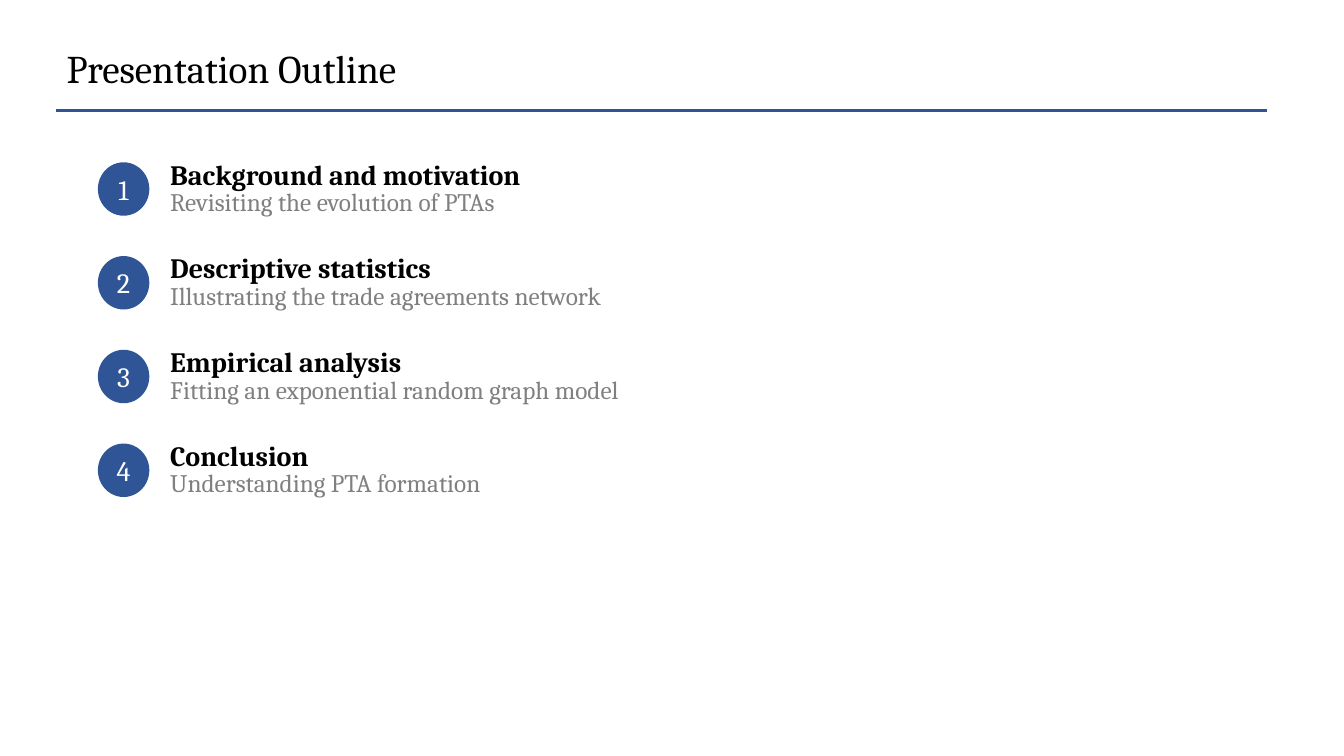
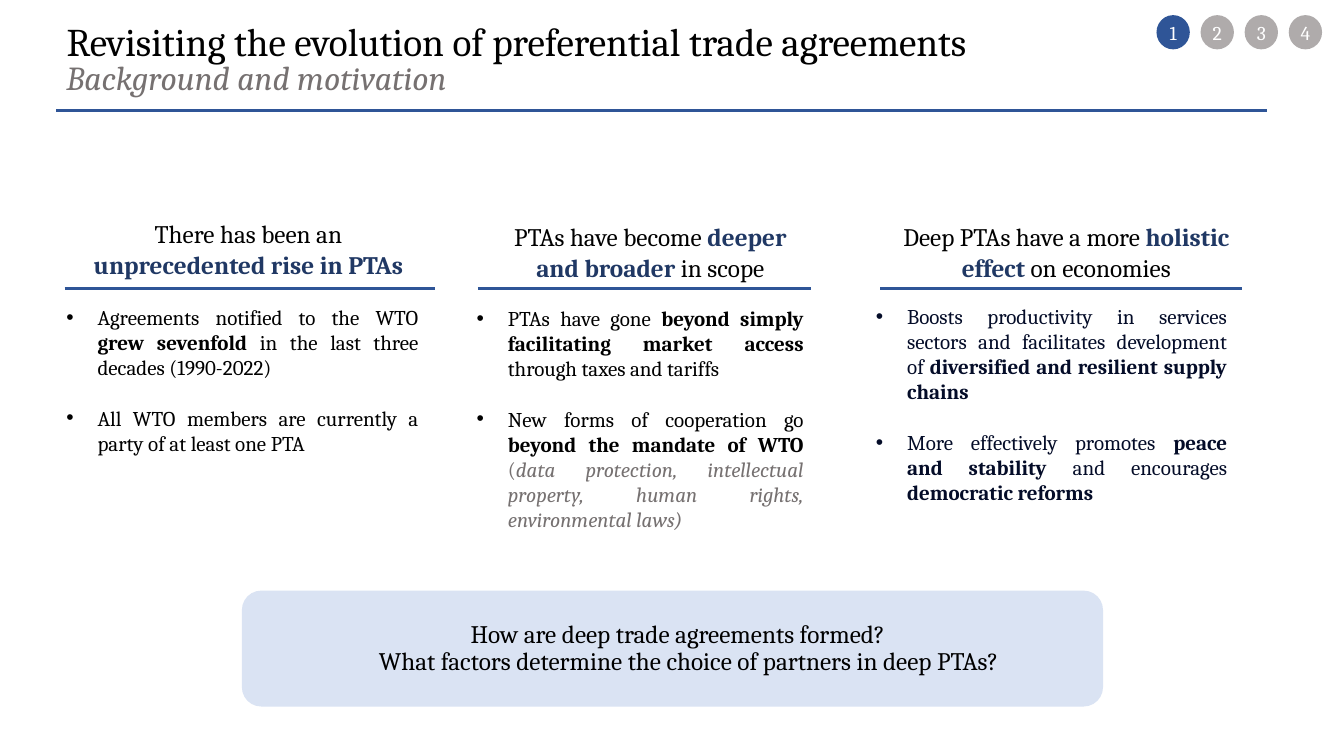
from pptx import Presentation
from pptx.dml.color import RGBColor
from pptx.enum.shapes import MSO_CONNECTOR, MSO_SHAPE
from pptx.enum.text import MSO_ANCHOR, MSO_AUTO_SIZE, PP_ALIGN
from pptx.oxml.xmlchemy import OxmlElement
from pptx.util import Inches, Pt

LEFT, CENTER, JUSTIFY = PP_ALIGN.LEFT, PP_ALIGN.CENTER, PP_ALIGN.JUSTIFY
TOP, MIDDLE = MSO_ANCHOR.TOP, MSO_ANCHOR.MIDDLE
STRAIGHT = MSO_CONNECTOR.STRAIGHT
OVAL, ROUNDED = MSO_SHAPE.OVAL, MSO_SHAPE.ROUNDED_RECTANGLE
NO_FIT = MSO_AUTO_SIZE.NONE

FONT = "Cambria"
BLUE, NAVY, INK = "2F5597", "203864", "040C28"
BLACK, WHITE = "000000", "FFFFFF"
GRAY, DARK_GRAY, BADGE_GRAY = "808080", "767171", "AFABAB"
PALE_BLUE = "DAE3F3"
TITLE_LEFT, TITLE_WIDTH, TITLE_HEIGHT = 4.2, 88, 5.33

color = RGBColor.from_string
presentation = Presentation()
presentation.slide_width = Inches(13.33)
presentation.slide_height = Inches(7.5)
column = presentation.slide_width / 100
row = presentation.slide_height / 100


def area(left, top, width, height):
    return (round(left * column), round(top * row),
            round(width * column), round(height * row))


def write(shape, paragraphs, size, alignment=LEFT, anchor=TOP, line_spacing=None):
    frame = shape.text_frame
    frame.word_wrap = True
    frame.auto_size = NO_FIT
    frame.vertical_anchor = anchor
    for index, runs in enumerate(paragraphs):
        paragraph = frame.add_paragraph() if index else frame.paragraphs[0]
        paragraph.alignment = alignment
        paragraph.line_spacing = line_spacing
        for text, hex_color, style in runs:
            run = paragraph.add_run()
            run.text = text
            run.font.name = FONT
            run.font.size = Pt(size)
            run.font.bold = style == "bold"
            run.font.italic = style == "italic"
            run.font.color.rgb = color(hex_color)


slides = []
rules = []
for title, title_top in [
    ("Presentation Outline", 5.87),
    ("Revisiting the evolution of preferential trade agreements", 2.27),
]:
    slide = presentation.slides.add_slide(presentation.slide_layouts[5])
    placeholder = slide.shapes.title
    placeholder.left, placeholder.top, placeholder.width, placeholder.height = area(
        TITLE_LEFT, title_top, TITLE_WIDTH, TITLE_HEIGHT)
    write(placeholder, [[(title, BLACK, "")]], 28, line_spacing=0.9)
    slides.append(slide)
    rules.append((slide, 4.2, 94.3, 14.67))
outline, background = slides

badges = []
sections = [
    ("Background and motivation", "Revisiting the evolution of PTAs"),
    ("Descriptive statistics", "Illustrating the trade agreements network"),
    ("Empirical analysis", "Fitting an exponential random graph model"),
    ("Conclusion", "Understanding PTA formation"),
]
for index, (heading, detail) in enumerate(sections):
    section_top = 21.47 + 12.4 * index
    number = str(index + 1)
    badges.append((outline, area(7.28, section_top, 3.83, 7.07), number, 20, BLUE))
    badges.append((background, area(86.05 + 3.28 * index, 2, 2.48, 4.53), number, 14,
                   BADGE_GRAY if index else BLUE))
    for text, offset, size, hex_color, style in [
        (heading, -1.33, 20, BLACK, "bold"),
        (detail, 2.53, 18, GRAY, ""),
    ]:
        box = outline.shapes.add_textbox(*area(11.93, section_top + offset, 45, 5.6))
        write(box, [[(text, hex_color, style)]], size)

for slide, position, number, size, hex_color in badges:
    badge = slide.shapes.add_shape(OVAL, *position)
    badge.shadow.inherit = False
    badge.fill.solid()
    badge.fill.fore_color.rgb = color(hex_color)
    badge.line.fill.background()
    frame = badge.text_frame
    frame.margin_left = frame.margin_right = frame.margin_top = frame.margin_bottom = 0
    write(badge, [[(number, WHITE, "")]], size, CENTER, MIDDLE)

subtitle = background.shapes.add_textbox(
    *area(TITLE_LEFT, 7.47, TITLE_WIDTH, TITLE_HEIGHT))
write(subtitle, [[("Background and motivation", DARK_GRAY, "italic")]], 24,
      line_spacing=0.9)

arguments = [
    {
        "heading_area": (4.65, 28.27, 27.68, 9.47),
        "heading": [("There has been an ", BLACK, ""),
                    ("unprecedented rise in PTAs", NAVY, "bold")],
        "rule": (4.8, 32.33),
        "bullets_area": (4.2, 39.6, 27.68, 21.6),
        "bullets": [
            [("Agreements notified to the WTO ", BLACK, ""),
             ("grew sevenfold ", BLACK, "bold"),
             ("in the last three decades (1990-2022)", BLACK, "")],
            [("All WTO members are currently a party of at least one PTA", BLACK, "")],
        ],
    },
    {
        "heading_area": (36.23, 28.67, 24.31, 9.47),
        "heading": [("PTAs have become ", BLACK, ""),
                    ("deeper and broader", NAVY, "bold"),
                    (" in scope", BLACK, "")],
        "rule": (35.56, 60.32),
        "bullets_area": (34.73, 39.73, 25.81, 31.6),
        "bullets": [
            [("PTAs have gone ", BLACK, ""),
             ("beyond simply facilitating market access ", BLACK, "bold"),
             ("through taxes and tariffs", BLACK, "")],
            [("New forms of cooperation go ", BLACK, ""),
             ("beyond the mandate of WTO ", BLACK, "bold"),
             ("(", DARK_GRAY, ""),
             ("data protection, intellectual property, human rights, "
              "environmental laws)", DARK_GRAY, "italic")],
        ],
    },
    {
        "heading_area": (64.37, 28.67, 29.93, 9.47),
        "heading": [("Deep PTAs have a more ", BLACK, ""),
                    ("holistic effect ", NAVY, "bold"),
                    ("on economies", BLACK, "")],
        "rule": (65.49, 92.42),
        "bullets_area": (64.44, 39.47, 27.61, 28.27),
        "bullets": [
            [("Boosts productivity in services sectors and facilitates "
              "development of ", INK, ""),
             ("diversified and resilient supply chains", INK, "bold")],
            [("More effectively promotes ", INK, ""),
             ("peace and stability ", INK, "bold"),
             ("and encourages ", INK, ""),
             ("democratic reforms", INK, "bold")],
        ],
    },
]
for argument in arguments:
    heading_box = background.shapes.add_textbox(*area(*argument["heading_area"]))
    write(heading_box, [argument["heading"]], 18, CENTER)
    rules.append((background, *argument["rule"], 38.13))
    bullets_box = background.shapes.add_textbox(*area(*argument["bullets_area"]))
    write(bullets_box, argument["bullets"], 15, JUSTIFY)
    for index, paragraph in enumerate(bullets_box.text_frame.paragraphs):
        paragraph.space_before = Pt(18 * index)
        properties = paragraph._p.get_or_add_pPr()
        properties.set("marL", str(Inches(0.31)))
        properties.set("indent", str(-Inches(0.31)))
        for tag, name, value in [("a:buFont", "typeface", "Arial"),
                                 ("a:buChar", "char", "•")]:
            bullet = OxmlElement(tag)
            bullet.set(name, value)
            properties.append(bullet)

for slide, start, end, height in rules:
    left, top, width, _ = area(start, height, end - start, 0)
    rule = slide.shapes.add_connector(STRAIGHT, left, top, left + width, top)
    rule.line.color.rgb = color(BLUE)
    rule.line.width = Pt(2.25)
    rule._element.spPr.append(OxmlElement("a:effectLst"))

panel = background.shapes.add_shape(ROUNDED, *area(18, 78.13, 64.07, 15.33))
panel.shadow.inherit = False
panel.fill.solid()
panel.fill.fore_color.rgb = color(PALE_BLUE)
panel.line.fill.background()
for question, left, top in [
    ("How are deep trade agreements formed?", 34.28, 81.07),
    ("What factors determine the choice of partners in deep PTAs?", 27.46, 84.67),
]:
    box = background.shapes.add_textbox(*area(left, top, 52, 5.33))
    write(box, [[(question, BLACK, "")]], 18)

presentation.save("out.pptx")
